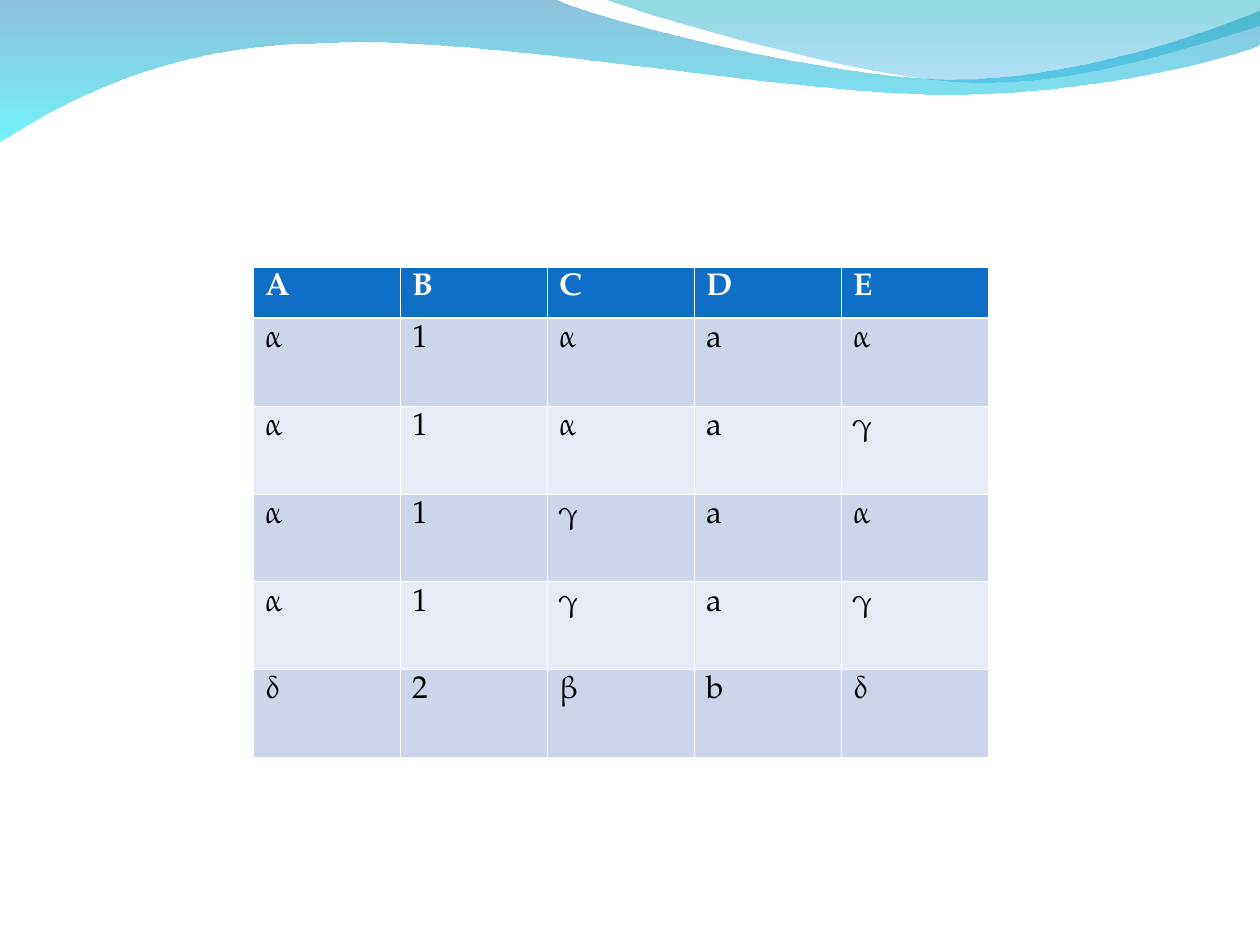
import lxml.etree
import pptx
import pptx.dml.color
import pptx.oxml.ns
import pptx.util

RGB = pptx.dml.color.RGBColor
WHITE = RGB(0xFF, 0xFF, 0xFF)
BLACK = RGB(0x00, 0x00, 0x00)
HEADER = RGB(0x0F, 0x6F, 0xC6)
BANDS = (RGB(0xE7, 0xEB, 0xF5), RGB(0xCC, 0xD5, 0xEA))
DEEP_BLUE = RGB(0x00, 0x79, 0xAF)
CYAN = RGB(0x00, 0xEB, 0xF8)
TEAL = RGB(0x00, 0xAD, 0xB6)
SKY = RGB(0x00, 0x9B, 0xE5)

LOWER_WAVE = [
    [(0, -1)],
    [(554, -1)],
    [(600, 21), (837, 79), (955, 79)],
    [(1074, 79), (1207, 33), (1260, 11)],
    [(1261, 45)],
    [(1239, 55), (1096, 96), (940, 94)],
    [(784, 94), (481, 35), (324, 43)],
    [(163, 44), (58, 105), (-1, 142)],
]
UPPER_WAVE = [
    [(604, -1)],
    [(641, 14), (859, 78), (969, 82)],
    [(1079, 87), (1211, 40), (1260, 26)],
    [(1260, 0)],
]
ROWS = ["ABCDE", "α1αaα", "α1αaγ", "α1γaα", "α1γaγ", "δ2βbδ"]

qn = pptx.oxml.ns.qn


def px(n):
    return round(n * 914400 / 126)


class Deck:
    """Holds the table style and the current slide."""

    font = "TeX Gyre Pagella"
    size = pptx.util.Pt(18)
    thin = pptx.util.Pt(0.45)
    thick = pptx.util.Pt(1.47)

    def __init__(self, prs):
        self.slide = prs.slides.add_slide(prs.slide_layouts[6])

    def curve(self, sp, segments):
        lines = iter(list(sp._element.iter(qn("a:lnTo"))))
        for segment in segments[1:]:
            first, *rest = [next(lines) for _ in segment]
            if rest:
                first.tag = qn("a:cubicBezTo")
            for line in rest:
                first.append(line[0])
                line.getparent().remove(line)

    def wave(self, segments, stops):
        points = [(px(x), px(y)) for segment in segments for x, y in segment]
        builder = self.slide.shapes.build_freeform(*points[0])
        builder.add_line_segments(points[1:], close=True)
        sp = builder.convert_to_shape()
        self.curve(sp, segments)
        sp.shadow.inherit = False
        sp.line.fill.background()
        sp.fill.gradient()
        sp.fill.gradient_angle = 270
        for stop, (color, _) in zip(sp.fill.gradient_stops, stops):
            stop.color.rgb = color
        for clr, (_, opacity) in zip(sp._element.spPr.iter(qn("a:srgbClr")), stops):
            lxml.etree.SubElement(clr, qn("a:alpha"), val=str(opacity * 1000))

    def border(self, cell, side, width):
        ln = lxml.etree.SubElement(cell._tc.get_or_add_tcPr(), qn(f"a:ln{side}"), w=str(width))
        fill = lxml.etree.SubElement(ln, qn("a:solidFill"))
        lxml.etree.SubElement(fill, qn("a:srgbClr"), val=str(WHITE))

    def cell(self, cell, text, row):
        for side in "LRTB":
            under_header = (row, side) in ((0, "B"), (1, "T"))
            self.border(cell, side, self.thick if under_header else self.thin)
        cell.fill.solid()
        cell.fill.fore_color.rgb = BANDS[row % 2] if row else HEADER
        cell.text = text
        font = cell.text_frame.paragraphs[0].font
        font.name, font.size, font.bold = self.font, self.size, row == 0
        font.color.rgb = BLACK if row else WHITE

    def table(self, x, y, col_width, row_heights, rows):
        width, height = col_width * len(rows[0]), sum(row_heights)
        table = self.slide.shapes.add_table(
            len(rows), len(rows[0]), px(x), px(y), px(width), px(height)).table
        for col in table.columns:
            col.width = px(col_width)
        for r, (values, row_height) in enumerate(zip(rows, row_heights)):
            table.rows[r].height = px(row_height)
            for c, text in enumerate(values):
                self.cell(table.cell(r, c), text, r)


def main():
    prs = pptx.Presentation()
    prs.slide_width, prs.slide_height = px(1260), px(945)
    deck = Deck(prs)
    deck.wave(LOWER_WAVE, [(DEEP_BLUE, 45), (CYAN, 55)])
    deck.wave(UPPER_WAVE, [(TEAL, 45), (SKY, 30)])
    deck.table(253, 267, 147, [51] + [88] * 5, ROWS)
    prs.save("out.pptx")


if __name__ == "__main__":
    main()
